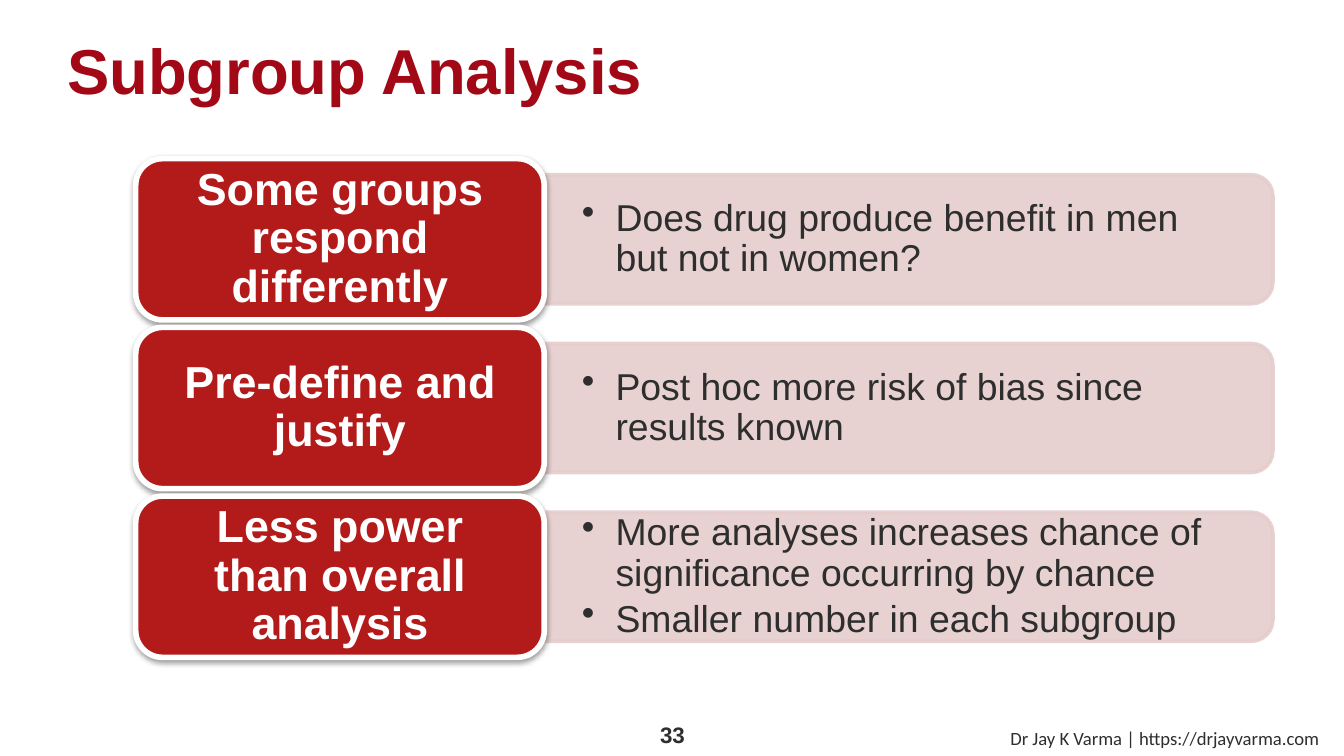
"""Build the subgroup analysis slide: three red labels with tinted bars of points."""
from dataclasses import dataclass
from typing import Any

from lxml import etree
from pptx import Presentation
from pptx.dml.color import RGBColor
from pptx.enum import shapes as sh, text as tx
from pptx.oxml.ns import qn
from pptx.util import Pt

HUES = {"title": "A20815", "label": "B31B1B", "bar": "E5CDCD",
        "ink": "2D2E2D", "white": "FFFFFF", "shade": "000000"}
MID, TOP = tx.MSO_ANCHOR.MIDDLE, tx.MSO_ANCHOR.TOP
LEFT, CENTER = tx.PP_ALIGN.LEFT, tx.PP_ALIGN.CENTER
FIRST, PITCH = 85, 90.4
BOX_W, BOX_H = 218.9, 86.4
BAR_X, BAR_W, BAR_H = 292.4, 389.5, 69.1


@dataclass
class Style:
    size: float
    hue: str
    bold: bool = False
    face: str = "Arial"
    align: Any = LEFT
    anchor: Any = TOP
    pad: tuple[float, float, float, float] = (7.2, 3.6, 7.2, 3.6)
    line: float = 1.0
    after: float = 0
    bullet: bool = False
    wrap: bool = True


@dataclass
class Row:
    label: str
    points: list[str]


TITLE = Style(34, "title", True, pad=(0, 0, 7.2, 3.6))
LABEL = Style(24, "white", True, align=CENTER, anchor=MID,
              pad=(11.5, 7.9, 11.5, 7.9), line=0.9, after=8.4)
POINT = Style(20, "ink", anchor=MID, pad=(19.4, 10, 19.4, 10),
              line=0.9, after=3, bullet=True)
PAGE = Style(12, "ink", True, align=CENTER, anchor=MID)
FOOT = Style(10, "ink", face="Calibri", wrap=False)

ROWS = [
    Row("Some groups respond differently",
        ["Does drug produce benefit in men but not in women?"]),
    Row("Pre-define and justify",
        ["Post hoc more risk of bias since results known"]),
    Row("Less power than overall analysis",
        ["More analyses increases chance of significance occurring by chance",
         "Smaller number in each subgroup"]),
]


def rgb(name: str) -> RGBColor:
    """Return a named colour."""
    return RGBColor.from_string(HUES[name])


def apply(obj: Any, vals: dict[str, Any]) -> None:
    """Set each named value on an object."""
    for key, val in vals.items():
        setattr(obj, key, val)


def fade(node: Any, share: int) -> None:
    """Give a colour node an opacity in percent."""
    etree.SubElement(node, qn("a:alpha"), val=str(share * 1000))


def write(shape: Any, lines: list[str], style: Style) -> None:
    """Fill a shape with styled paragraphs."""
    frame = shape.text_frame
    sides = ("margin_left", "margin_top", "margin_right", "margin_bottom")
    apply(frame, dict(zip(sides, map(Pt, style.pad))))
    apply(frame, {"word_wrap": style.wrap, "vertical_anchor": style.anchor,
                  "auto_size": tx.MSO_AUTO_SIZE.NONE})
    frame.text = "\n".join(lines)
    for para in frame.paragraphs:
        apply(para, {"alignment": style.align, "line_spacing": style.line,
                     "space_before": Pt(0), "space_after": Pt(style.after)})
        font = para.runs[0].font
        apply(font, {"size": Pt(style.size), "bold": style.bold, "name": style.face})
        font.color.rgb = rgb(style.hue)
        if style.bullet:
            props = para._p.get_or_add_pPr()
            props.set("marL", str(Pt(18)))
            props.set("indent", str(Pt(-18)))
            etree.SubElement(props, qn("a:buChar"), char="•")


def note(slide: Any, area: tuple[float, ...], lines: list[str], style: Style) -> None:
    """Add a text box."""
    write(slide.shapes.add_textbox(*map(Pt, area)), lines, style)


def block(slide: Any, kind: Any, area: tuple[float, ...], fill: str,
          edge: str, width: float) -> Any:
    """Add a filled and outlined shape without a shadow."""
    shape = slide.shapes.add_shape(kind, *map(Pt, area))
    shape.fill.solid()
    shape.fill.fore_color.rgb = rgb(fill)
    shape.line.color.rgb = rgb(edge)
    shape.line.width = Pt(width)
    shape.shadow.inherit = False
    return shape


def shade(shape: Any) -> None:
    """Add a soft shadow below a shape."""
    effects = shape._element.spPr.find(qn("a:effectLst"))
    outer = etree.SubElement(effects, qn("a:outerShdw"), blurRad=str(Pt(3.1)),
                             dist=str(Pt(1.6)), dir="5400000", rotWithShape="0")
    fade(etree.SubElement(outer, qn("a:srgbClr"), val=HUES["shade"]), 38)


def draw(slide: Any, row: Row, top: float) -> None:
    """Draw one bar with its points and its label."""
    mid = top + BOX_H / 2
    area = (BAR_X + (BAR_W - BAR_H) / 2, mid - BAR_W / 2, BAR_H, BAR_W)
    bar = block(slide, sh.MSO_SHAPE.ROUND_2_SAME_RECTANGLE, area, "bar", "bar", 2)
    bar.rotation = 90
    for node in bar._element.spPr.iter(qn("a:srgbClr")):
        fade(node, 90)
    note(slide, (BAR_X, mid - 31, 386.6, 62), row.points, POINT)
    label = block(slide, sh.MSO_SHAPE.ROUNDED_RECTANGLE,
                  (72.7, top, BOX_W, BOX_H), "label", "white", 3)
    shade(label)
    write(label, [row.label], LABEL)


def main() -> None:
    """Build and save the slide."""
    deck = Presentation()
    apply(deck, {"slide_width": Pt(720), "slide_height": Pt(405)})
    slide = deck.slides.add_slide(deck.slide_layouts[5])
    title = slide.shapes.title
    apply(title, {"left": Pt(36), "top": Pt(16.6), "width": Pt(648), "height": Pt(67.7)})
    write(title, ["Subgroup Analysis"], TITLE)
    for i, row in enumerate(ROWS):
        draw(slide, row, FIRST + i * PITCH)
    note(slide, (339.8, 383, 41, 21.6), ["33"], PAGE)
    note(slide, (534.2, 385.9, 185.8, 19.1),
         ["Dr Jay K Varma | https://drjayvarma.com"], FOOT)
    deck.save("out.pptx")


if __name__ == "__main__":
    main()
